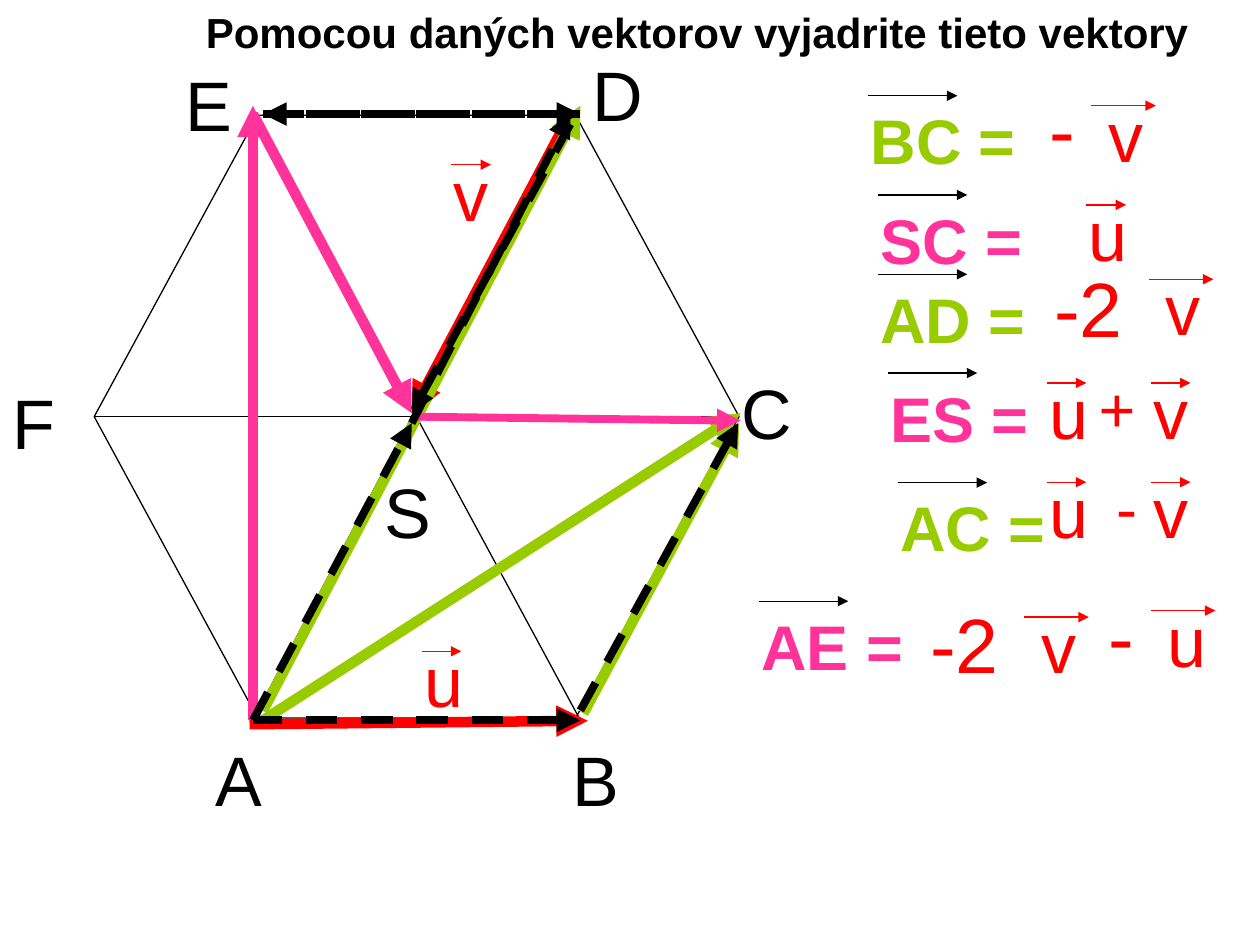
import pptx
import pptx.dml.color
import pptx.enum.dml
import pptx.enum.shapes
import pptx.enum.text
import pptx.oxml
import pptx.oxml.ns
import pptx.util
from lxml import etree

Cm = pptx.util.Cm
BLACK, RED, GREEN, PINK = "000000", "FF0000", "99CC00", "FF3399"
SLIDE_WIDTH = 25.4


def color(value):
    return pptx.dml.color.RGBColor.from_string(value)


def set_values(target, values):
    for name, value in values.items():
        setattr(target, name, value)


class SlideBuilder:
    font_name = "Arial"
    thin = 0.75
    inset = 0.25

    def __init__(self, slide):
        self.slide = slide

    def format_text(self, shape, text, size, fill, bold=False, wrap=True, indent=0):
        frame = shape.text_frame
        set_values(frame, {
            "word_wrap": wrap,
            "auto_size": pptx.enum.text.MSO_AUTO_SIZE.SHAPE_TO_FIT_TEXT,
            "vertical_anchor": pptx.enum.text.MSO_ANCHOR.TOP,
            "margin_left": Cm(self.inset + indent),
            "text": text,
        })
        paragraph = frame.paragraphs[0]
        paragraph.alignment = pptx.enum.text.PP_ALIGN.LEFT
        set_values(paragraph.font, {
            "name": self.font_name, "size": pptx.util.Pt(size), "bold": bold})
        paragraph.font.color.rgb = color(fill)

    def title(self, text, left, top, width, height):
        shape = self.slide.shapes.title
        set_values(shape, {"left": Cm(left), "top": Cm(top),
                           "width": Cm(width), "height": Cm(height)})
        self.format_text(shape, text, 24, BLACK, bold=True, wrap=False)

    def text(self, text, left, top, width=2.4, size=40, fill=BLACK, bold=False, indent=0):
        height = size * 1.2 / 72 * 2.54 + self.inset
        shape = self.slide.shapes.add_textbox(Cm(left), Cm(top), Cm(width), Cm(height))
        self.format_text(shape, text, size, fill, bold, indent=indent)

    def line(self, start, finish, fill=BLACK, width=thin, arrow=None, dashed=False):
        connector = self.slide.shapes.add_connector(
            pptx.enum.shapes.MSO_CONNECTOR.STRAIGHT,
            *[Cm(value) for value in (*start, *finish)])
        connector.line.color.rgb = color(fill)
        connector.line.width = pptx.util.Pt(width)
        if dashed:
            connector.line.dash_style = pptx.enum.dml.MSO_LINE.DASH
        properties = connector._element.spPr
        if arrow:
            outline = properties.find(pptx.oxml.ns.qn("a:ln"))
            end = etree.SubElement(outline, pptx.oxml.ns.qn(f"a:{arrow}"))
            end.set("type", "triangle")
        etree.SubElement(properties, pptx.oxml.ns.qn("a:effectLst"))

    def hexagon(self, left, top, width, height):
        shape = self.slide.shapes.add_shape(
            pptx.enum.shapes.MSO_SHAPE.HEXAGON, Cm(left), Cm(top), Cm(width), Cm(height))
        shape.shadow.inherit = False
        shape.adjustments[0] = 0.27
        shape.adjustments[1] = 1.15
        shape.fill.background()
        shape.line.color.rgb = color(BLACK)
        shape.line.width = pptx.util.Pt(self.thin)

    def overline(self, left, top, length, fill):
        self.line((left, top), (left + length, top), fill, arrow="tailEnd")

    def vector(self, letter, left, top):
        self.text(letter, left, top, fill=RED)
        self.overline(left + 0.2, top + 0.4, 0.8, RED)

    def wide_vector(self, letter, left, top):
        self.text(letter, left, top, min(3.8, SLIDE_WIDTH - left), fill=RED, indent=0.39)
        self.overline(left + 0.3, top + 0.4, 1.3, RED)

    def task(self, name, left, top, fill):
        self.text(f"{name} =", left, top, 4.4, 36, fill, bold=True)
        self.overline(left + 0.2, top, 1.8, BLACK)


def main():
    presentation = pptx.Presentation()
    presentation.slide_width = Cm(SLIDE_WIDTH)
    presentation.slide_height = Cm(19.05)
    builder = SlideBuilder(presentation.slides.add_slide(presentation.slide_layouts[5]))

    builder.title("Pomocou daných vektorov vyjadrite tieto vektory", 3.9, 0, 20.32, 1.27)

    point_a, point_b = (5.1, 14.52), (11.7, 14.52)
    point_d, point_e, point_f = (11.5, 2.3), (5.1, 2.3), (1.9, 8.4)
    center = (8.3, 8.33)
    builder.hexagon(1.9, 2.3, 13, 12.2)
    for start, finish in [(point_e, point_b), (point_d, point_a), (point_f, (14.7, 8.4))]:
        builder.line(start, finish)

    for letter, left, top in [
        ("A", 4.1, 14.73), ("B", 11.3, 14.73), ("C", 14.7, 7.32), ("D", 11.7, 0.91),
        ("E", 3.5, 1.12), ("F", 0, 7.52), ("S", 7.5, 9.32),
    ]:
        builder.text(letter, left, top)

    for start, finish, fill, width in [
        ((5.03, 14.6), (11.85, 14.53), RED, 6),
        (point_d, center, RED, 6),
        ((11.76, 14.38), (14.9, 8.53), GREEN, 6),
        ((5.3, 14.33), (11.7, 2.13), GREEN, 6),
        ((5.3, 14.52), (14.93, 8.33), GREEN, 6),
        (point_e, center, PINK, 6),
        (point_a, (5.1, 2.13), PINK, 6),
        ((8.4, 8.4), (14.93, 8.48), PINK, 4.5),
    ]:
        builder.line(start, finish, fill, width, "tailEnd")

    for start, finish, arrow in [
        ((11.7, 2.3), (5.3, 2.3), "headEnd"),
        (center, (11.5, 2.5), "headEnd"),
        (point_b, point_a, "headEnd"),
        ((11.7, 14.32), (14.88, 8.53), "tailEnd"),
        (point_a, (8.3, 8.53), "tailEnd"),
        ((8.3, 8.53), point_d, "tailEnd"),
        ((11.7, 2.3), (5.3, 2.3), "tailEnd"),
    ]:
        builder.line(start, finish, BLACK, 4.5, arrow, dashed=True)

    for name, left, top, fill in [
        ("BC", 17.3, 1.93, GREEN), ("SC", 17.5, 3.93, PINK), ("AD", 17.5, 5.53, GREEN),
        ("ES", 17.7, 7.52, PINK), ("AC", 17.9, 9.73, GREEN), ("AE", 15.1, 12.12, PINK),
    ]:
        builder.task(name, left, top, fill)

    for letter, left, top in [
        ("v", 8.9, 2.92), ("u", 8.3, 12.73), ("u", 21.7, 3.73), ("u", 20.9, 7.32),
        ("v", 23, 7.32), ("u", 20.9, 9.32), ("v", 23, 9.32),
    ]:
        builder.vector(letter, left, top)

    for letter, left, top in [
        ("v", 21.7, 1.73), ("v", 22.86, 5.23), ("v", 20.35, 12.04), ("u", 22.9, 11.91),
    ]:
        builder.wide_vector(letter, left, top)

    for sign, left, top, width, size, indent in [
        ("-", 20.9, 1.52, 1.2, 44, 0), ("-2", 21, 5.13, 2.34, 44, 0),
        ("+", 21.9, 7.32, 1.8, 36, 0), ("-", 21.9, 9.32, 1.8, 36, 0.35),
        ("-2", 18.5, 11.91, 2.34, 44, 0), ("-", 22.1, 11.73, 1.2, 44, 0),
    ]:
        builder.text(sign, left, top, width, size, RED, indent=indent)

    presentation.save("out.pptx")


if __name__ == "__main__":
    main()
